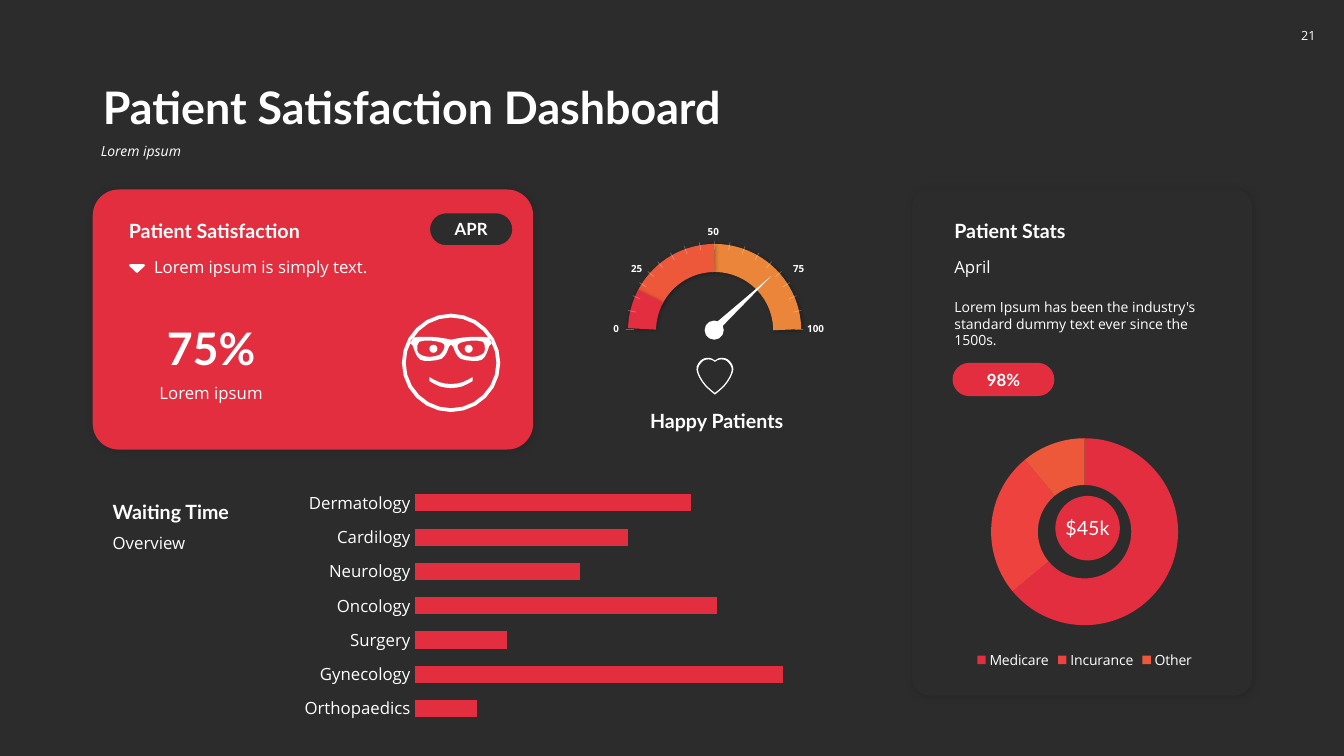
from dataclasses import dataclass
from math import cos, radians, sin

from lxml.etree import SubElement
from pptx import Presentation
from pptx.chart.data import CategoryChartData
from pptx.dml.color import RGBColor
from pptx.enum.chart import XL_CHART_TYPE as ChartType, XL_LEGEND_POSITION as LegendPosition, XL_TICK_MARK as TickMark
from pptx.enum.shapes import MSO_CONNECTOR as Connector, MSO_SHAPE as Preset
from pptx.enum.text import MSO_ANCHOR as Anchor, MSO_AUTO_SIZE as AutoSize, PP_ALIGN as Align
from pptx.oxml.ns import qn
from pptx.util import Inches, Pt


@dataclass(frozen=True)
class Theme:
    dark = RGBColor.from_string("2C2C2C")
    white = RGBColor.from_string("FFFFFF")
    red = RGBColor.from_string("E22E3F")
    coral = RGBColor.from_string("EE423E")
    orange = RGBColor.from_string("EE583A")
    amber = RGBColor.from_string("EB8539")
    display = ("Lato", 32, True)
    heading = ("Lato", 14, True)
    pill = ("Lato", 12, True)
    amount = ("Lato", 14, False)
    body = ("Open Sans", 12, False)
    small = ("Open Sans", 10, False)
    number = ("Open Sans", 9, False)
    scale = ("Open Sans", 7, True)


theme = Theme()


@dataclass(frozen=True)
class Box:
    left: float
    top: float
    width: float
    height: float

    def inner(self, left, top, width, height):
        return [Inches(n) for n in (self.left + left, self.top + top, width, height)]

    def whole(self):
        return self.inner(0, 0, self.width, self.height)


def set_font(font, style):
    font.name, size, font.bold = style
    font.size = Pt(size)
    font.color.rgb = theme.white


def write(shape, text, style, align=Align.LEFT, anchor=Anchor.TOP, wrap=True, inset=None):
    frame = shape.text_frame
    frame.word_wrap = wrap
    frame.auto_size = AutoSize.NONE
    frame.vertical_anchor = anchor
    if inset is not None:
        frame.margin_left = frame.margin_right = Inches(inset)
    frame.text = text
    para = frame.paragraphs[0]
    para.alignment = align
    set_font(para.font, style)
    return para


def label(shapes, place, text, style, **options):
    write(shapes.add_textbox(*place), text, style, **options)


def paint(shape, fill=None, line=None, width=1):
    shape.shadow.inherit = False
    if fill is None:
        shape.fill.background()
    else:
        shape.fill.solid()
        shape.fill.fore_color.rgb = fill
    if line is None:
        shape.line.fill.background()
    else:
        shape.line.color.rgb = line
        shape.line.width = Pt(width)


def preset(shapes, kind, place, fill=None, line=None, width=1, adjust=()):
    shape = shapes.add_shape(kind, *place)
    for index, value in enumerate(adjust):
        shape.adjustments[index] = value
    paint(shape, fill, line, width)
    return shape


def add_shadow(shape, alpha, blur, distance):
    effects = shape.element.spPr.find(qn("a:effectLst"))
    outer = SubElement(effects, qn("a:outerShdw"), blurRad=str(Pt(blur)), dist=str(Pt(distance)), dir="2700000")
    color = SubElement(outer, qn("a:srgbClr"), val="000000")
    SubElement(color, qn("a:alpha"), val=str(alpha * 1000))


def card(shapes, box, fill, rounding):
    add_shadow(preset(shapes, Preset.ROUNDED_RECTANGLE, box.whole(), fill, adjust=[rounding]), 15, 6, 1)


def pill(shapes, place, text, fill, line=None):
    shape = preset(shapes, Preset.ROUNDED_RECTANGLE, place, fill, line, adjust=[0.5])
    write(shape, text, theme.pill, Align.CENTER, Anchor.MIDDLE, inset=0)


def smooth(points, closed=False):
    padded = [points[-1], *points, *points[:2]] if closed else [points[0], *points, points[-1]]
    curve = []
    for quad in zip(padded, padded[1:], padded[2:], padded[3:]):
        middle = tuple((9 * (b + c) - a - d) / 16 for a, b, c, d in zip(*quad))
        curve += [quad[1], middle]
    return curve if closed else curve + [points[-1]]


def mirror(points, axis):
    return [(2 * axis - x, y) for x, y in reversed(points)]


def circle(x, y, radius):
    return [(x + radius * cos(radians(angle)), y + radius * sin(radians(angle))) for angle in range(0, 360, 15)]


def outline(shapes, box, contours):
    first, *others = contours
    builder = shapes.build_freeform(*first[0], scale=Inches(1) / 1000)
    builder.add_line_segments(first[1:])
    for contour in others:
        builder.move_to(*contour[0])
        builder.add_line_segments(contour[1:])
    paint(builder.convert_to_shape(Inches(box.left), Inches(box.top)), theme.white)


def draw_header(page, box):
    title = page.shapes.title
    title.left, title.top, title.width, title.height = box.inner(0.02, 0, 11.5, 0.8)
    write(title, "Patient Satisfaction Dashboard", theme.display, anchor=Anchor.BOTTOM).line_spacing = 0.9
    subtitle = page.placeholders[1]
    subtitle.left, subtitle.top, subtitle.width, subtitle.height = box.inner(0, 0.8, 11.52, 0.36)
    para = write(subtitle, "Lorem ipsum", theme.small)
    para.font.italic = True
    para.line_spacing = 0.9
    para.space_before = Pt(10)
    properties = para._p.get_or_add_pPr()
    properties.set("marL", "0")
    properties.set("indent", "0")
    SubElement(properties, qn("a:buNone"))


def draw_page_number(page, box):
    shape = preset(page.shapes, Preset.ROUNDED_RECTANGLE, box.whole(), theme.dark, adjust=[0.27])
    write(shape, "21", theme.number, Align.CENTER, Anchor.MIDDLE, wrap=False, inset=0)


def draw_face(page, box):
    shapes = page.shapes.add_group_shape().shapes
    axis = 485
    upper = smooth([(270, 630), (370, 682), (485, 700), (600, 682), (700, 630)])
    lower = smooth([(700, 670), (600, 722), (485, 740), (370, 722), (270, 670)])
    outline(shapes, box, [upper + lower])
    rim = smooth([(485, 260), (360, 238), (230, 232), (110, 240), (80, 290), (105, 320), (130, 390), (180, 460),
                  (280, 470), (390, 450), (440, 390), (465, 330), (485, 310)])
    lens = smooth([(410, 360), (370, 410), (280, 430), (210, 420), (160, 390), (150, 350), (170, 280), (290, 270),
                   (390, 290), (420, 320)], closed=True)
    outline(shapes, box, [circle(axis, 490, 488), circle(axis, 490, 450), rim + mirror(rim, axis), lens,
                          mirror(lens, axis)])
    for left in (0.27, 0.62):
        preset(shapes, Preset.OVAL, box.inner(left, 0.31, 0.08, 0.08), theme.white)


def draw_satisfaction(page, box):
    shapes = page.shapes
    card(shapes, box, theme.red, 0.1)
    label(shapes, box.inner(0.36, 1.24, 1.63, 0.64), "75%", theme.display, align=Align.CENTER, anchor=Anchor.BOTTOM)
    label(shapes, box.inner(0.36, 1.87, 1.63, 0.3), "Lorem ipsum", theme.body, align=Align.CENTER)
    pill(shapes, box.inner(3.34, 0.23, 0.83, 0.33), "APR", theme.dark, theme.red)
    label(shapes, box.inner(0.26, 0.23, 2.51, 0.34), "Patient Satisfaction", theme.heading, anchor=Anchor.BOTTOM)
    label(shapes, box.inner(0.51, 0.62, 3.67, 0.3), "Lorem ipsum is simply text.", theme.body)
    marker = Box(box.left + 0.36, box.top + 0.74, 0.16, 0.09)
    outline(shapes, marker, [[(10, 0), (150, 0), (160, 15), (87, 85), (73, 85), (0, 15)]])
    draw_face(page, Box(box.left + 3.07, box.top + 1.23, 0.97, 0.98))


def draw_gauge(page, box):
    shapes = page.shapes.add_group_shape().shapes
    center_x, center_y = 1.3, 1.09
    for start, end, color in ((267.6, 359.3, theme.amber), (206.5, 269.6, theme.orange), (181.33, 208.2, theme.red)):
        arc = preset(shapes, Preset.ARC, box.inner(center_x - 0.72, center_y - 0.71, 1.44, 1.44), line=color, width=20,
                     adjust=[start * 0.6, end * 0.6])
        add_shadow(arc, 30, 3, 1)
    preset(shapes, Preset.OVAL, box.inner(center_x - 0.1, center_y - 0.09, 0.19, 0.19), theme.white)
    quarter = (0, 12.5, 22.5, 32, 41, 50, 60, 70, 80)
    for angle in (*quarter, 90, *(180 - angle for angle in quarter)):
        ends = [box.inner(center_x + radius * cos(radians(angle)), center_y - radius * sin(radians(angle)), 0, 0)[:2]
                for radius in (0.88, 0.8)]
        tick = shapes.add_connector(Connector.STRAIGHT, *ends[0], *ends[1])
        tick.line.color.rgb = theme.white
        tick.line.width = Pt(0.5)
        SubElement(tick.element.spPr.xpath(".//a:srgbClr")[0], qn("a:alpha"), val="30000")
        SubElement(tick.element.spPr, qn("a:effectLst"))
    for text, left, top, width, align, anchor in (
            ("0", 0.19, 0.97, 0.26, Align.RIGHT, Anchor.MIDDLE), ("25", 0.37, 0.37, 0.31, Align.RIGHT, Anchor.MIDDLE),
            ("50", 1.13, 0, 0.31, Align.RIGHT, Anchor.BOTTOM), ("75", 1.98, 0.37, 0.31, Align.LEFT, Anchor.MIDDLE),
            ("100", 2.12, 0.97, 0.45, Align.LEFT, Anchor.MIDDLE)):
        label(shapes, box.inner(left, top, width, 0.22), text, theme.scale, align=align, anchor=anchor,
              wrap=text == "100")
    needle = preset(page.shapes, Preset.ISOSCELES_TRIANGLE, box.inner(1.52, 0.43, 0.08, 0.82), theme.white)
    needle.rotation = 47
    half = smooth([(183, 27), (150, 6), (110, 0), (60, 12), (15, 60), (0, 115), (25, 190), (90, 285), (183, 365)])
    edge = half + mirror(half, 183)
    hollow = [(183 + 0.91 * (x - 183), 175 + 0.91 * (y - 175)) for x, y in edge]
    outline(page.shapes, Box(box.left + 1.12, box.top + 1.37, 0.37, 0.37), [edge, hollow])
    label(page.shapes, box.inner(0, 1.82, box.width, 0.34), "Happy Patients", theme.heading, align=Align.CENTER,
          anchor=Anchor.MIDDLE, inset=0.04)


def add_chart(page, kind, place, values, style):
    data = CategoryChartData()
    data.categories = list(values)
    data.add_series("Series 1", list(values.values()))
    chart = page.shapes.add_chart(kind, *place, data).chart
    chart.has_title = chart.has_legend = False
    set_font(chart.font, style)
    return chart


def draw_waiting_time(page, box):
    label(page.shapes, box.inner(0, 0.13, 2.86, 0.34), "Waiting Time", theme.heading, anchor=Anchor.BOTTOM)
    label(page.shapes, box.inner(0, 0.47, 2.86, 0.3), "Overview", theme.body)
    waits = {"Dermatology": 75, "Cardilogy": 58, "Neurology": 45, "Oncology": 82, "Surgery": 25, "Gynecology": 100,
             "Orthopaedics": 17}
    chart = add_chart(page, ChartType.BAR_CLUSTERED, box.inner(1.89, 0, 5.59, 2.48), waits, theme.body)
    plot = chart.plots[0]
    plot.gap_width = 100
    plot.vary_by_categories = False
    bars = plot.series[0].format.fill
    bars.solid()
    bars.fore_color.rgb = theme.red
    departments, scale = chart.category_axis, chart.value_axis
    departments.reverse_order = True
    departments.major_tick_mark = TickMark.NONE
    departments.format.line.fill.background()
    scale.minimum_scale, scale.maximum_scale = 0, 117
    scale.has_major_gridlines = False
    scale.visible = False


def draw_stats(page, box):
    shapes = page.shapes
    card(shapes, box, theme.dark, 0.05)
    label(shapes, box.inner(0.32, 0.23, 2.96, 0.34), "Patient Stats", theme.heading, anchor=Anchor.BOTTOM)
    label(shapes, box.inner(0.32, 0.62, 2.96, 0.3), "April", theme.body)
    pill(shapes, box.inner(0.4, 1.72, 1.01, 0.33), "98%", theme.red)
    label(shapes, box.inner(0.32, 1.03, 2.96, 0.44),
          "Lorem Ipsum has been the industry's standard dummy text ever since the 1500s.", theme.small)
    shares = {"Medicare": 64, "Incurance": 25, "Other": 11}
    chart = add_chart(page, ChartType.DOUGHNUT, box.inner(0.14, 2.33, 3.14, 2.47), shares, theme.small)
    chart.has_legend = True
    chart.legend.position = LegendPosition.BOTTOM
    chart.legend.include_in_layout = False
    set_font(chart.legend.font, theme.small)
    plot = chart.plots[0]
    plot.vary_by_categories = True
    for index, color in enumerate((theme.red, theme.coral, theme.orange)):
        slice_format = plot.series[0].points[index].format
        slice_format.fill.solid()
        slice_format.fill.fore_color.rgb = color
        slice_format.line.fill.background()
    chart._chartSpace.xpath(".//c:holeSize")[0].set("val", "75")
    total = preset(shapes, Preset.OVAL, box.inner(1.42, 3.04, 0.64, 0.64), theme.red)
    write(total, "$45k", theme.amount, Align.CENTER, Anchor.MIDDLE, wrap=False, inset=0)


def main():
    deck = Presentation()
    deck.slide_width, deck.slide_height = Inches(40 / 3), Inches(7.5)
    page = deck.slides.add_slide(deck.slide_layouts[1])
    page.background.fill.solid()
    page.background.fill.fore_color.rgb = theme.dark
    draw_header(page, Box(0.9, 0.58, 11.52, 1.16))
    draw_page_number(page, Box(12.8, 0.18, 0.36, 0.35))
    draw_satisfaction(page, Box(0.92, 1.88, 4.37, 2.58))
    draw_gauge(page, Box(5.79, 2.18, 2.64, 2.16))
    draw_waiting_time(page, Box(1.02, 4.77, 7.48, 2.48))
    draw_stats(page, Box(9.05, 1.88, 3.37, 5.02))
    deck.save("out.pptx")


if __name__ == "__main__":
    main()
